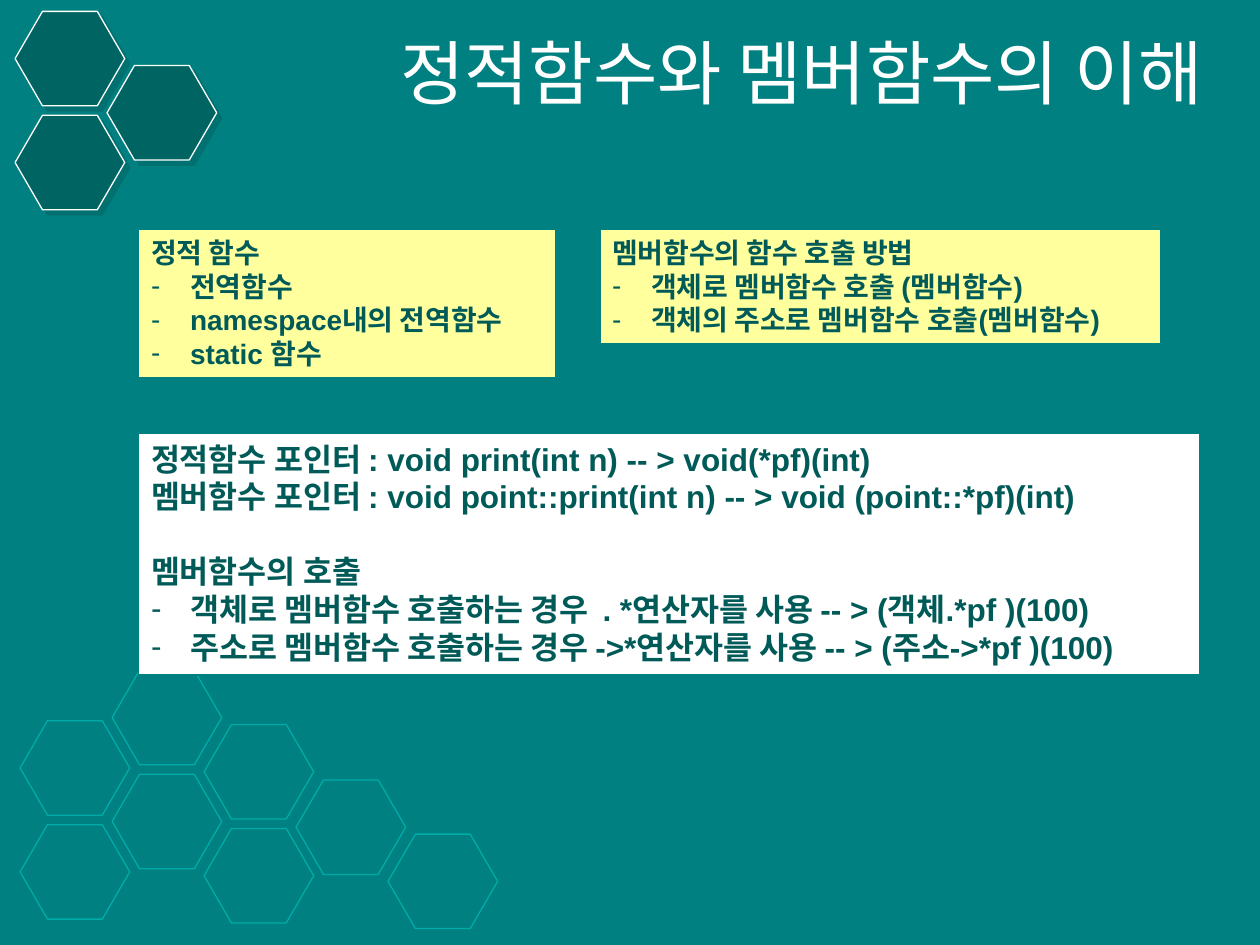
from lxml import etree
from pptx import Presentation
from pptx.dml.color import RGBColor
from pptx.enum.shapes import MSO_SHAPE
from pptx.enum.text import MSO_ANCHOR, MSO_AUTO_SIZE, PP_ALIGN
from pptx.oxml.ns import qn
from pptx.util import Inches, Pt

TEAL = RGBColor(0x00, 0x80, 0x80)
DARK_TEAL = RGBColor(0x00, 0x64, 0x62)
LIGHT_TEAL = RGBColor(0x00, 0xAC, 0xA8)
INK = RGBColor(0x00, 0x5A, 0x58)
YELLOW = RGBColor(0xFF, 0xFF, 0x9E)
WHITE = RGBColor(0xFF, 0xFF, 0xFF)

FONT = "Arial"
COLUMNS, ROWS = 100, 75
HEX_WIDTH, HEX_HEIGHT = 8.7, 7.5
HEX_COLUMN_STEP, HEX_ROW_STEP = 7.3, 8.25


def grid(*cells):
    """Turn grid columns and rows into lengths."""
    return [Inches(cell / 10) for cell in cells]


def style_font(font, size, color, bold=False):
    """Set typeface, size, colour and weight."""
    font.name, font.size, font.bold = FONT, Pt(size), bold
    font.color.rgb = color


def add_dash(paragraph):
    """Give a paragraph a hanging dash bullet."""
    properties = paragraph._p.get_or_add_pPr()
    indent = Inches(0.31)
    properties.set("marL", str(indent))
    properties.set("indent", str(-indent))
    etree.SubElement(properties, qn("a:buFont")).set("typeface", FONT)
    etree.SubElement(properties, qn("a:buChar")).set("char", "-")


def add_soft_shadow(shape):
    """Cast a half-transparent shadow down to the right."""
    effects = shape._element.spPr.find(qn("a:effectLst"))
    shadow = etree.SubElement(effects, qn("a:outerShdw"), dist=str(Pt(4.2)),
                              dir="2700000", algn="ctr", rotWithShape="0")
    color = etree.SubElement(shadow, qn("a:srgbClr"), val=str(DARK_TEAL))
    etree.SubElement(color, qn("a:alpha"), val="50000")


def add_honeycomb(slide, left, top, stacks, line, fill=None):
    """Draw columns of hexagons, each given as its drop and its count."""
    for column, (drop, count) in enumerate(stacks):
        for row in range(count):
            cell = slide.shapes.add_shape(MSO_SHAPE.HEXAGON, *grid(
                left + column * HEX_COLUMN_STEP,
                top + drop + row * HEX_ROW_STEP, HEX_WIDTH, HEX_HEIGHT))
            cell.adjustments[0] = 0.29
            cell.shadow.inherit = False
            cell.line.color.rgb = line
            cell.line.width = Pt(0.75)
            if fill is None:
                cell.fill.background()
            else:
                cell.fill.solid()
                cell.fill.fore_color.rgb = fill
                add_soft_shadow(cell)


def add_title(slide, box, text):
    """Place the right-aligned slide title."""
    frame = slide.shapes.add_textbox(*grid(*box)).text_frame
    frame.word_wrap = True
    frame.vertical_anchor = MSO_ANCHOR.MIDDLE
    paragraph = frame.paragraphs[0]
    paragraph.alignment = PP_ALIGN.RIGHT
    run = paragraph.add_run()
    run.text = text
    style_font(run.font, 40, WHITE)


def add_note(slide, box, fill, size, sections):
    """Place a filled note whose sections hold plain and dashed lines."""
    note = slide.shapes.add_shape(MSO_SHAPE.RECTANGLE, *grid(*box))
    note.shadow.inherit = False
    note.fill.solid()
    note.fill.fore_color.rgb = fill
    note.line.color.rgb = TEAL
    note.line.width = Pt(1)
    frame = note.text_frame
    frame.word_wrap = True
    frame.auto_size = MSO_AUTO_SIZE.SHAPE_TO_FIT_TEXT
    frame.vertical_anchor = MSO_ANCHOR.TOP
    paragraph = None
    for plain, dashed in sections:
        for index, text in enumerate(plain + dashed):
            first = paragraph is None
            paragraph = frame.paragraphs[0] if first else frame.add_paragraph()
            paragraph.alignment = PP_ALIGN.LEFT
            if index == 0 and not first:
                paragraph.space_before = Pt(size * 1.17)
            if index >= len(plain):
                add_dash(paragraph)
            run = paragraph.add_run()
            run.text = text
            style_font(run.font, size, INK, bold=True)


def build_slide(slide):
    """Lay out the background, the title and the three notes."""
    slide.background.fill.solid()
    slide.background.fill.fore_color.rgb = TEAL
    add_honeycomb(slide, 1.6, 53.2,
                  [(4, 2), (0, 2), (4.3, 2), (8.7, 1), (13, 1)], LIGHT_TEAL)
    add_honeycomb(slide, 1.2, 0.9, [(0, 2), (4.3, 1)], WHITE, DARK_TEAL)
    add_note(slide, (11, 18.2, 33.1, 11.8), YELLOW, 16, [
        (["정적 함수 "],
         ["전역함수 ", "namespace내의 전역함수", "static 함수"])])
    add_title(slide, (21.3, 1.3, 75.2, 8.7), "정적함수와 멤버함수의 이해")
    add_note(slide, (47.6, 18.2, 44.5, 9.1), YELLOW, 16, [
        (["멤버함수의 함수 호출 방법"],
         ["객체로 멤버함수 호출 (멤버함수)",
          "객체의 주소로 멤버함수 호출(멤버함수)"])])
    add_note(slide, (11, 34.4, 84.2, 19.2), WHITE, 18, [
        (["정적함수 포인터 : void print(int n) -- > void(*pf)(int)",
          "멤버함수 포인터 : void point::print(int n) -- > void (point::*pf)(int)"],
         []),
        (["멤버함수의 호출"],
         ["객체로 멤버함수 호출하는 경우  . *연산자를 사용 -- > (객체.*pf )(100)",
          "주소로 멤버함수 호출하는 경우 ->*연산자를 사용 -- > (주소->*pf )(100)"])])


presentation = Presentation()
presentation.slide_width, presentation.slide_height = grid(COLUMNS, ROWS)
build_slide(presentation.slides.add_slide(presentation.slide_layouts[6]))
presentation.save("out.pptx")
